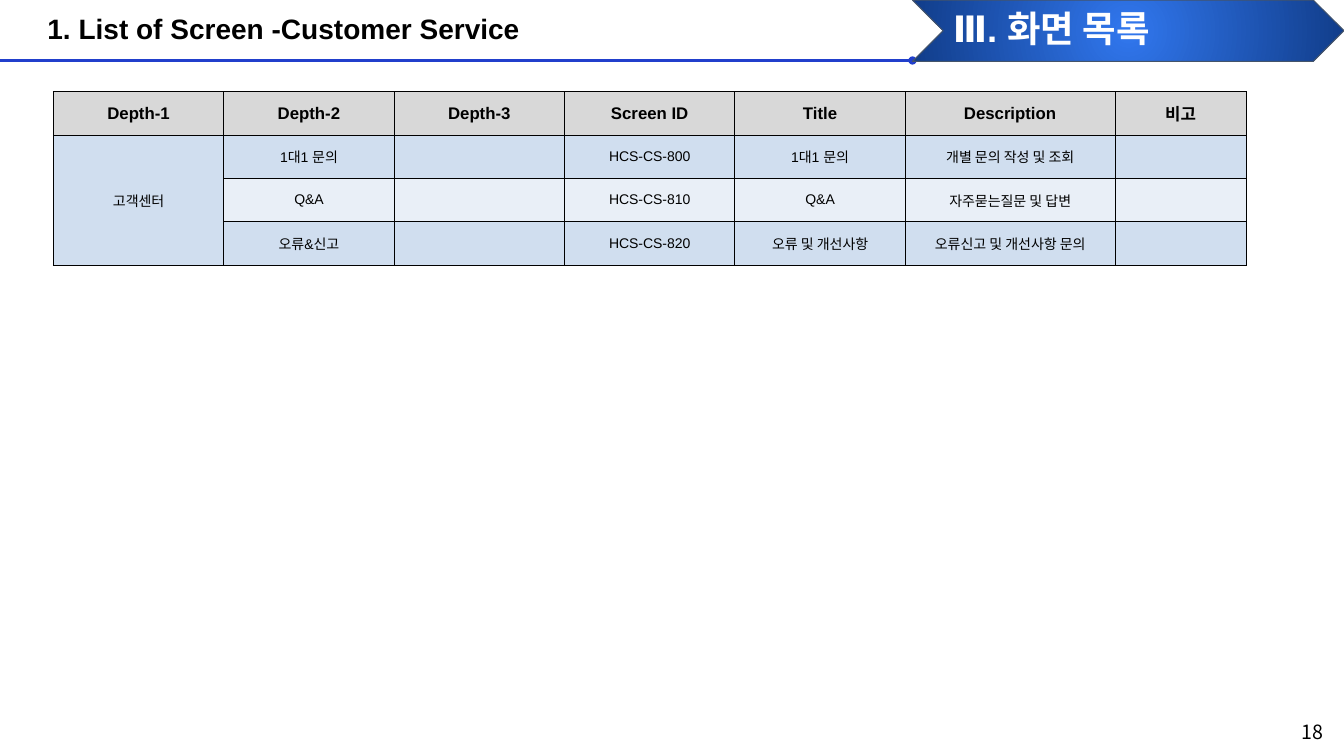
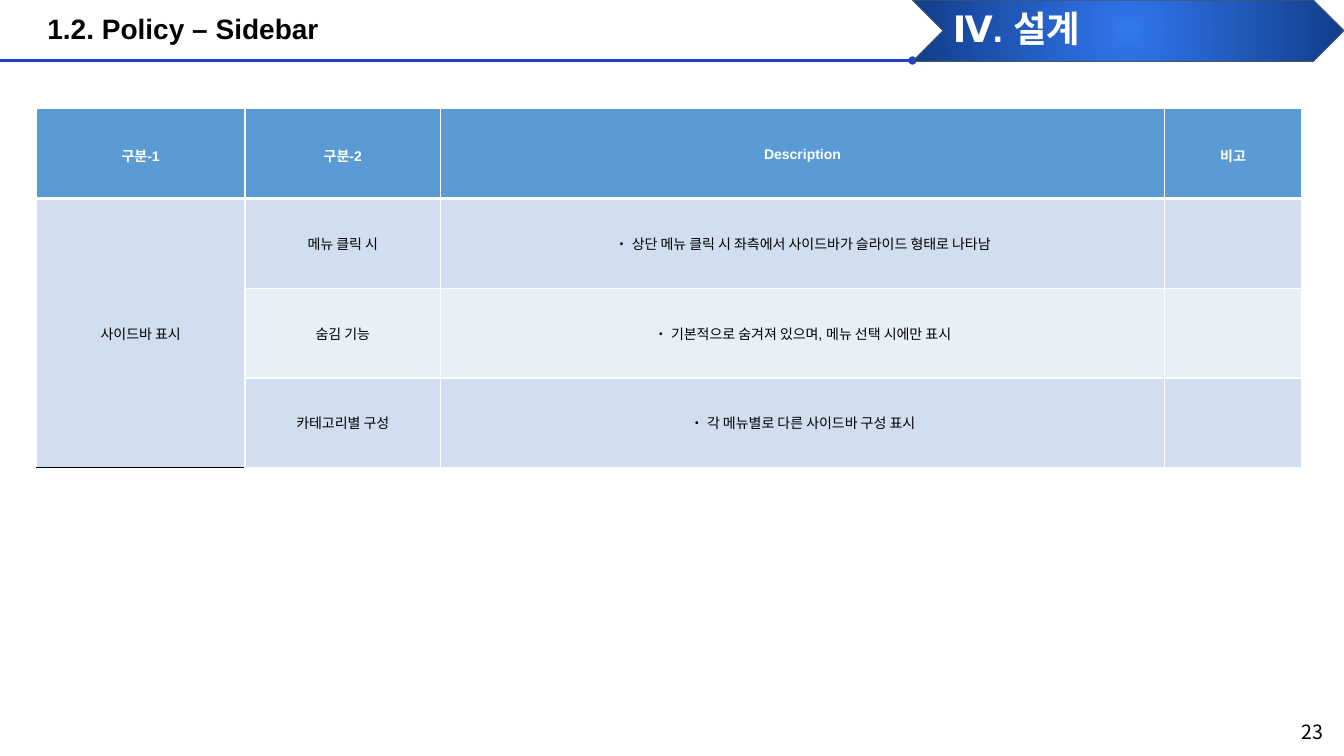
from lxml import etree
from pptx import Presentation
from pptx.dml.color import RGBColor
from pptx.enum.shapes import MSO_CONNECTOR, MSO_SHAPE
from pptx.enum.text import MSO_ANCHOR, MSO_AUTO_SIZE, PP_ALIGN
from pptx.oxml.ns import qn
from pptx.util import Inches, Pt

LEFT, CENTER = PP_ALIGN.LEFT, PP_ALIGN.CENTER
MIDDLE = MSO_ANCHOR.MIDDLE
NO_AUTOFIT = MSO_AUTO_SIZE.NONE
CHEVRON = MSO_SHAPE.CHEVRON
STRAIGHT = MSO_CONNECTOR.STRAIGHT

BLACK = RGBColor(0x00, 0x00, 0x00)
WHITE = RGBColor(0xFF, 0xFF, 0xFF)
RULE_BLUE = RGBColor(0x21, 0x3F, 0xCC)
BANNER_CENTER = RGBColor(0x31, 0x77, 0xEE)
BANNER_EDGE = RGBColor(0x11, 0x3D, 0x8A)
BANNER_LINE = RGBColor(0x44, 0x54, 0x6A)
HEADER_GRAY = RGBColor(0xD8, 0xD8, 0xD8)
HEADER_BLUE = RGBColor(0x5B, 0x9B, 0xD5)
BANDS = [RGBColor(0xD0, 0xDE, 0xEF), RGBColor(0xE9, 0xEF, 0xF7)]

LATIN_FONT = "Arial"
KOREAN_FONT = "Noto Sans CJK KR"
BANNER_LEFT, BAND_HEIGHT = 9.05, 0.6

PAGES = [
    {
        "title": "1. List of Screen -Customer Service",
        "section": "Ⅲ. 화면 목록",
        "number": "18",
        "origin": (0.53, 0.91),
        "columns": [1.69] * 5 + [2.08, 1.3],
        "row_height": 0.43,
        "margin_y": 0.05,
        "header": {"fill": HEADER_GRAY, "color": BLACK, "size": 12, "spacing": 1.0},
        "border": (BLACK, 0.75),
        "header_rule": (BLACK, 0.75),
        "rows": [
            ["Depth-1", "Depth-2", "Depth-3", "Screen ID", "Title", "Description", "비고"],
            ["고객센터", "1대1 문의", "", "HCS-CS-800", "1대1 문의", "개별 문의 작성 및 조회", ""],
            ["", "Q&A", "", "HCS-CS-810", "Q&A", "자주묻는질문 및 답변", ""],
            ["", "오류&신고", "", "HCS-CS-820", "오류 및 개선사항", "오류신고 및 개선사항 문의", ""],
        ],
    },
    {
        "title": "1.2. Policy – Sidebar",
        "section": "Ⅳ. 설계",
        "number": "23",
        "origin": (0.36, 1.08),
        "columns": [2.07, 1.94, 7.18, 1.36],
        "row_height": 0.89,
        "margin_y": 0.1,
        "header": {"fill": HEADER_BLUE, "color": WHITE, "size": 10, "spacing": 1.15},
        "border": (WHITE, 1),
        "header_rule": (WHITE, 3),
        "rows": [
            ["구분-1", "구분-2", "Description", "비고"],
            ["사이드바 표시", "메뉴 클릭 시",
             "• 상단 메뉴 클릭 시 좌측에서 사이드바가 슬라이드 형태로 나타남", ""],
            ["", "숨김 기능", "• 기본적으로 숨겨져 있으며, 메뉴 선택 시에만 표시", ""],
            ["", "카테고리별 구성", "• 각 메뉴별로 다른 사이드바 구성 표시", ""],
        ],
    },
]


def write(frame, text, size, color, bold=False, align=LEFT, spacing=1.0, font=LATIN_FONT):
    """Put one formatted paragraph, with Latin and Korean fonts, into a text frame."""
    frame.text = text
    paragraph = frame.paragraphs[0]
    paragraph.alignment = align
    paragraph.line_spacing = spacing
    paragraph.space_before = Pt(0)
    for run in paragraph.runs:
        run.font.size = Pt(size)
        run.font.bold = bold
        run.font.color.rgb = color
        run.font.name = font
        korean = etree.SubElement(run._r.rPr, qn("a:ea"))
        korean.set("typeface", KOREAN_FONT)


def add_border(cell, side, color, width):
    """Draw one side (L, R, T or B) of a cell; call before filling the cell."""
    line = etree.SubElement(cell._tc.get_or_add_tcPr(), qn("a:ln" + side), w=str(Pt(width)))
    solid = etree.SubElement(line, qn("a:solidFill"))
    etree.SubElement(solid, qn("a:srgbClr"), val=str(color))


prs = Presentation()
prs.slide_width, prs.slide_height = Inches(13.33), Inches(7.5)
title_and_content = prs.slide_layouts[1]

for page in PAGES:
    slide = prs.slides.add_slide(title_and_content)
    shapes = slide.shapes

    rule = shapes.add_connector(
        STRAIGHT, 0, Inches(BAND_HEIGHT), Inches(BANNER_LEFT), Inches(BAND_HEIGHT))
    rule.line.color.rgb = RULE_BLUE
    rule.line.width = Pt(1.5)
    rule_properties = rule._element.spPr
    etree.SubElement(rule_properties.find(qn("a:ln")), qn("a:tailEnd"), type="oval")
    etree.SubElement(rule_properties, qn("a:effectLst"))

    banner = shapes.add_shape(CHEVRON, Inches(BANNER_LEFT), 0, Inches(4.28), Inches(0.61))
    banner.shadow.inherit = False
    banner.line.color.rgb = BANNER_LINE
    banner.line.width = Pt(0.75)
    banner.fill.gradient()
    for stop, position, color in zip(
            banner.fill.gradient_stops, (0, 1), (BANNER_CENTER, BANNER_EDGE)):
        stop.position = position
        stop.color.rgb = color
    gradient = banner._element.spPr.find(qn("a:gradFill"))
    gradient.remove(gradient.find(qn("a:lin")))
    radial = etree.SubElement(gradient, qn("a:path"))
    radial.set("path", "circle")
    etree.SubElement(radial, qn("a:fillToRect"), l="50000", t="50000", r="50000", b="50000")

    headings = [
        (shapes.title, page["title"], 0.37, 8.68, 20, BLACK),
        (slide.placeholders[1], page["section"], 9.35, 3.98, 26, WHITE),
    ]
    for heading, text, left, width, size, color in headings:
        heading.left, heading.top = Inches(left), 0
        heading.width, heading.height = Inches(width), Inches(BAND_HEIGHT)
        frame = heading.text_frame
        frame.auto_size = NO_AUTOFIT
        frame.vertical_anchor = MIDDLE
        write(frame, text, size, color, bold=True, spacing=0.9)
        paragraph_properties = frame.paragraphs[0]._p.get_or_add_pPr()
        paragraph_properties.set("marL", "0")
        paragraph_properties.set("indent", "0")
        etree.SubElement(paragraph_properties, qn("a:buNone"))
        # Headings stand in front of the banner
        shapes._spTree.append(heading._element)

    page_number = shapes.add_textbox(Inches(12.81), Inches(7.09), Inches(0.62), Inches(0.34))
    page_number.text_frame.word_wrap = True
    write(page_number.text_frame, page["number"], 14, BLACK, font=KOREAN_FONT)

    rows, columns, header = page["rows"], page["columns"], page["header"]
    left, top = page["origin"]
    table = shapes.add_table(
        len(rows), len(columns), Inches(left), Inches(top),
        Inches(sum(columns)), Inches(page["row_height"] * len(rows))).table
    for column, width in zip(table.columns, columns):
        column.width = Inches(width)
    for row in table.rows:
        row.height = Inches(page["row_height"])
    table.cell(1, 0).merge(table.cell(len(rows) - 1, 0))

    for r, texts in enumerate(rows):
        for c, text in enumerate(texts):
            cell = table.cell(r, c)
            cell.vertical_anchor = MIDDLE
            cell.margin_left = cell.margin_right = Inches(0.1)
            cell.margin_top = cell.margin_bottom = Inches(page["margin_y"])
            sides = dict.fromkeys("LRTB", page["border"])
            if r == 0:
                sides["B"] = page["header_rule"]
            elif r == 1:
                sides["T"] = page["header_rule"]
            if r > 0 and c == 0:
                sides["B"] = (BLACK, 0.75)
            for side, (color, width) in sides.items():
                add_border(cell, side, color, width)
            cell.fill.solid()
            if r == 0:
                cell.fill.fore_color.rgb = header["fill"]
                write(cell.text_frame, text, header["size"], header["color"],
                      bold=True, align=CENTER, spacing=header["spacing"])
            else:
                cell.fill.fore_color.rgb = BANDS[(r - 1) % 2]
                if text:
                    write(cell.text_frame, text, 10, BLACK, align=CENTER)

prs.save("out.pptx")
